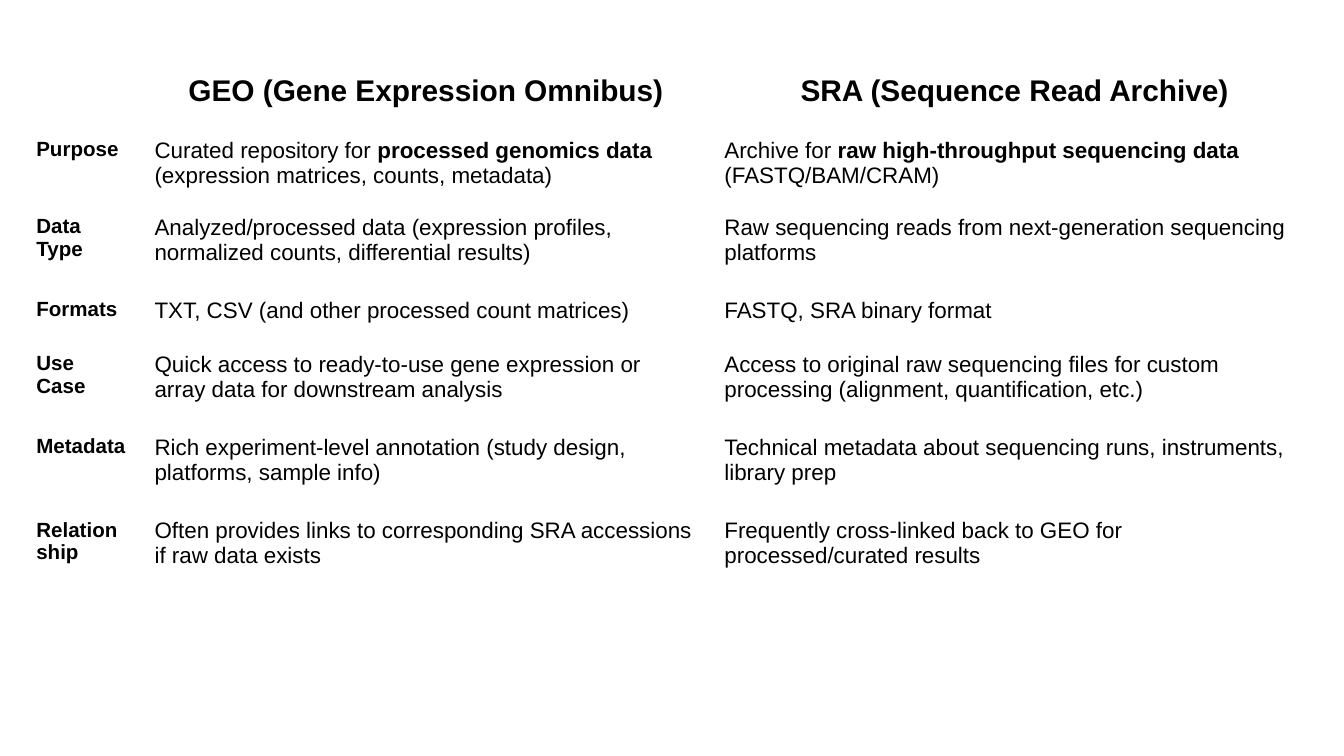
from pptx import Presentation
from pptx.dml.color import RGBColor
from pptx.enum.text import MSO_ANCHOR, PP_ALIGN
from pptx.util import Inches, Pt

CENTER, LEFT = PP_ALIGN.CENTER, PP_ALIGN.LEFT
TOP = MSO_ANCHOR.TOP

COLORS = {"text": "000000", "background": "FFFFFF"}
FORMATS = {
    "header": {"size": Pt(16), "bold": True},
    "label": {"size": Pt(11), "bold": True},
    "body": {"size": Pt(12), "bold": False},
}
COLUMN_WIDTHS = [0.88, 4.24, 4.52]
ROW_HEIGHTS = [0.38, 0.54, 0.62, 0.4, 0.62, 0.62, 0.62]
COMPARISON = [
    ("", "GEO (Gene Expression Omnibus)", "SRA (Sequence Read Archive)"),
    ("Purpose",
     "Curated repository for *processed genomics data* (expression matrices, counts, metadata)",
     "Archive for *raw high-throughput sequencing data* (FASTQ/BAM/CRAM)"),
    ("Data Type",
     "Analyzed/processed data (expression profiles, normalized counts, differential results)",
     "Raw sequencing reads from next-generation sequencing platforms"),
    ("Formats",
     "TXT, CSV (and other processed count matrices)",
     "FASTQ, SRA binary format"),
    ("Use Case",
     "Quick access to ready-to-use gene expression or array data for downstream analysis",
     "Access to original raw sequencing files for custom processing (alignment, quantification, etc.)"),
    ("Metadata",
     "Rich experiment-level annotation (study design, platforms, sample info)",
     "Technical metadata about sequencing runs, instruments, library prep"),
    ("Relationship",
     "Often provides links to corresponding SRA accessions if raw data exists",
     "Frequently cross-linked back to GEO for processed/curated results"),
]


class ComparisonSlide:
    """Holds the text style and the slide that receives the table."""

    def __init__(self, slide, font_name="Arial", inset=0.1):
        self.slide = slide
        self.font_name = font_name
        self.inset = Inches(inset)
        backdrop = slide.background.fill
        backdrop.solid()
        backdrop.fore_color.rgb = RGBColor.from_string(COLORS["background"])

    def add_text(self, paragraph, text, role):
        paragraph.alignment = CENTER if role == "header" else LEFT
        if role == "header":
            paragraph.line_spacing = 1.15
        for position, part in enumerate(text.split("*")):
            run = paragraph.add_run()
            run.text = part
            for name, value in FORMATS[role].items():
                setattr(run.font, name, value)
            run.font.name = self.font_name
            run.font.color.rgb = RGBColor.from_string(COLORS["text"])
            if position % 2:
                run.font.bold = True

    def fill_cell(self, cell, text, role):
        cell.fill.background()
        cell.vertical_anchor = TOP
        for side in ("left", "right", "top", "bottom"):
            setattr(cell, f"margin_{side}", self.inset)
        if text:
            self.add_text(cell.text_frame.paragraphs[0], text, role)

    def add_table(self, left, top, rows):
        table = self.slide.shapes.add_table(
            len(rows), len(COLUMN_WIDTHS), Inches(left), Inches(top),
            Inches(sum(COLUMN_WIDTHS)), Inches(sum(ROW_HEIGHTS))).table
        table.first_row = False
        table.horz_banding = False
        for column, width in zip(table.columns, COLUMN_WIDTHS):
            column.width = Inches(width)
        for row, height in zip(table.rows, ROW_HEIGHTS):
            row.height = Inches(height)
        for r, texts in enumerate(rows):
            for c, text in enumerate(texts):
                role = "header" if r == 0 else "label" if c == 0 else "body"
                self.fill_cell(table.cell(r, c), text, role)


def main():
    presentation = Presentation()
    presentation.slide_width = Inches(10)
    presentation.slide_height = presentation.slide_width * 9 // 16
    slide = presentation.slides.add_slide(presentation.slide_layouts[6])
    ComparisonSlide(slide).add_table(0.17, 0.42, COMPARISON)
    presentation.save("out.pptx")


if __name__ == "__main__":
    main()
